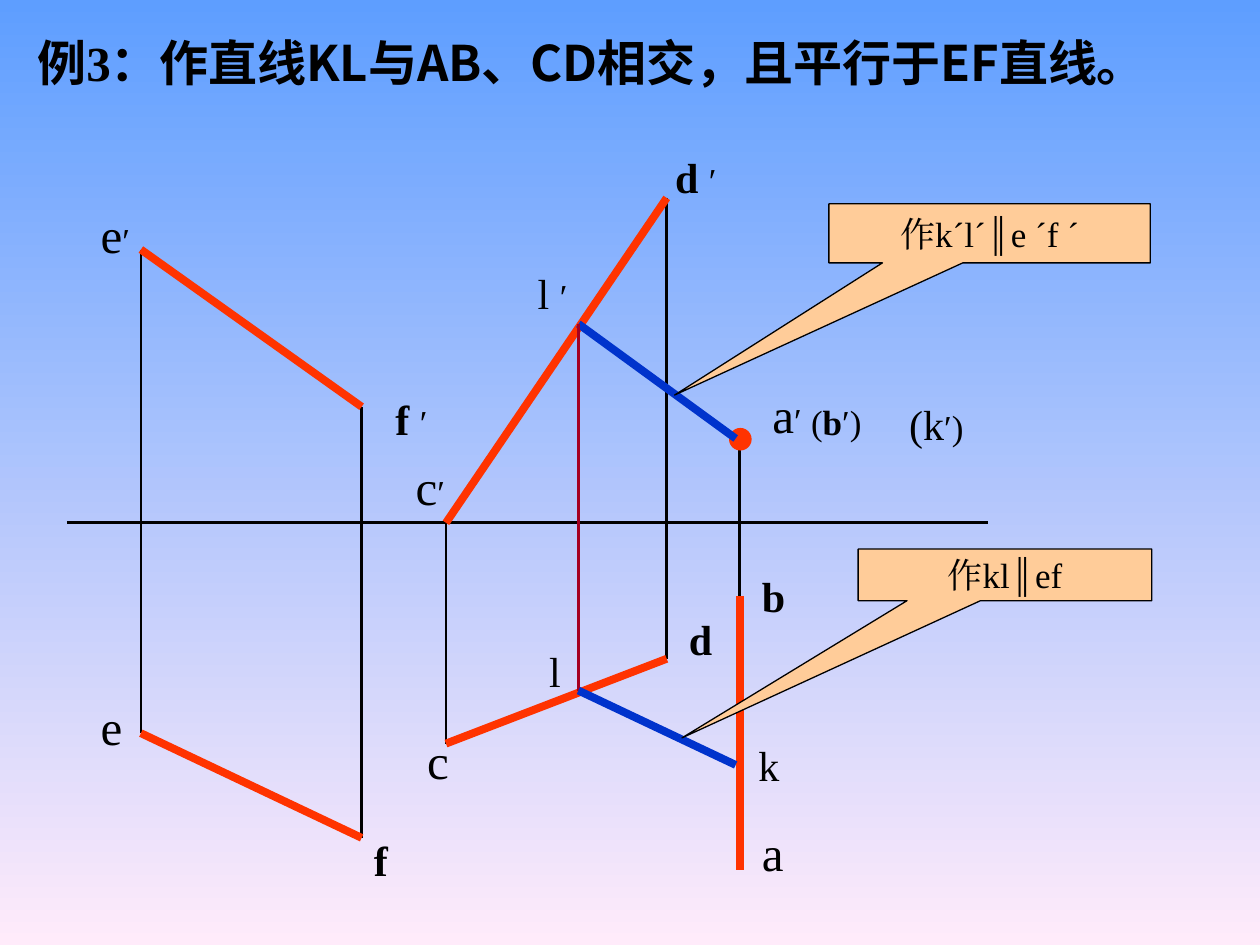
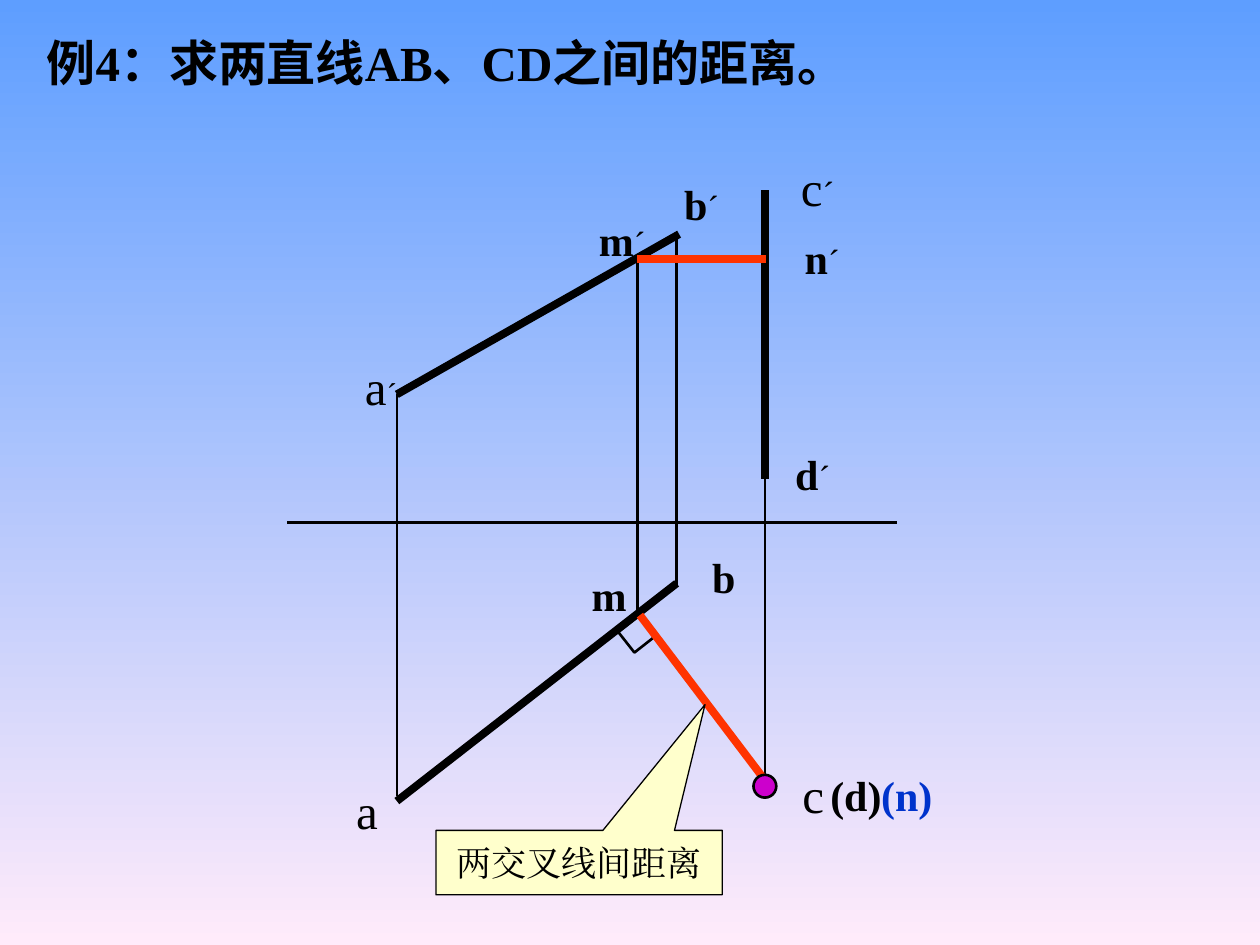
from pptx import Presentation
from pptx.dml.color import RGBColor
from pptx.enum.shapes import MSO_CONNECTOR, MSO_SHAPE
from pptx.enum.text import MSO_ANCHOR, MSO_AUTO_SIZE, PP_ALIGN
from pptx.util import Cm, Pt
from lxml import etree
from pptx.oxml.ns import qn

rgb = RGBColor.from_string
BLACK, RED, BLUE, MAROON = "000000", "FF3300", "0033CC", "A50021"
SERIF, SANS = "Times New Roman", "Noto Sans CJK SC"
THIN, THICK = 1.5, 4.5
LABEL_HEIGHT = {28: 1.45, 24: 1.27, 20: 1.12}


def add_run(p, text, size, bold=False, color=BLACK, font=SERIF):
    r = p.add_run()
    r.text = text
    r.font.size = Pt(size)
    r.font.bold = bold
    r.font.color.rgb = rgb(color)
    r.font.name = font
    ea = etree.SubElement(r.font._element, qn("a:ea"))
    ea.set("typeface", font)


def add_line(s, start, end, color, width):
    ln = s.shapes.add_connector(MSO_CONNECTOR.STRAIGHT, *map(Cm, start + end))
    ln.line.color.rgb = rgb(color)
    ln.line.width = Pt(width)
    etree.SubElement(ln._element.spPr, qn("a:effectLst"))


prime, prime_mark = ("′", 20), ("ˊ", 20)

e1, f1, e, f = (2.84, 5.03), (7.29, 8.2), (2.84, 14.78), (7.29, 16.89)
c1, d1, c, d = (8.99, 10.54), (13.44, 3.99), (8.99, 14.99), (13.44, 13.28)
a1, b, a = (14.91, 8.84), (14.91, 12.01), (14.91, 17.53)
l1, l, k1, k = (11.66, 6.53), (11.66, 13.92), (14.83, 8.84), (14.83, 15.42)

parallel = {
    "title": [("例", SANS), ("3", SERIF),
              ("：作直线KL与AB、CD相交，且平行于EF直线。", SANS)],
    "title_left": 0.5,
    "hanging": 4.52,
    "align": PP_ALIGN.LEFT,
    "lines": [
        ((1.35, 10.54), (19.91, 10.54), BLACK, THIN),
        (e1, e, BLACK, THIN),
        (f1, f, BLACK, THIN),
        (e1, f1, RED, THICK),
        (e, f, RED, THICK),
        (c1, c, BLACK, THIN),
        (d1, d, BLACK, THIN),
        (c, d, RED, THICK),
        (c1, d1, RED, THICK),
        (a1, b, BLACK, THIN),
        (b, a, RED, THICK),
    ],
    "dot": (14.71, 8.64, 0.43, RED, RED, 0.75),
    "solution": [
        (k1, l1, BLUE, THICK),
        (l1, l, MAROON, THIN),
        (l, k, BLUE, THICK),
    ],
    "labels": [
        (13.36, 2.92, 1.91, [("d ", 24, True), prime]),
        (1.78, 3.99, 2.11, [("e", 28), prime]),
        (7.72, 7.8, 2.11, [("f ", 24, True), prime]),
        (7.29, 16.69, 1.47, [("f", 24, True)]),
        (1.78, 13.92, 1.47, [("e", 28)]),
        (8.13, 9.07, 2.11, [("c", 28), prime]),
        (15.32, 7.62, 1.83, [("a", 28), prime]),
        (15.11, 16.46, 1.7, [("a", 28)]),
        (15.11, 11.38, 1.7, [("b", 24, True)]),
        (8.36, 14.61, 2.11, [("c", 28)]),
        (13.64, 12.24, 1.27, [("d", 24, True)]),
        (16.1, 7.95, 2.11, [("(", 20), ("b", 20, True), ("′)", 20)]),
        (18.08, 7.9, 1.75, [("(k", 24), ("′)", 20)]),
        (10.59, 5.26, 1.7, [("l ", 24), prime]),
        (10.82, 12.88, 1.47, [("l", 24)]),
        (15.04, 14.78, 1.7, [("k", 24)]),
    ],
    "callouts": [
        (16.71, 4.11, 6.48, 1.19, -0.98, 2.74, "FFCC99", "作kˊlˊ∥e ˊf ˊ"),
        (17.3, 11.07, 5.92, 1.04, -1.1, 3.16, "FFCC99", "作kl∥ef"),
    ],
}

distance = {
    "title": [("例", SANS), ("4", SERIF), ("：求两直线", SANS), ("AB", SERIF),
              ("、", SANS), ("CD", SERIF), ("之间的距离。", SANS)],
    "title_left": 0.69,
    "hanging": 0,
    "align": PP_ALIGN.CENTER,
    "right_angle": (12.57, 12.52, 0.53, 51.8),
    "lines": [
        ((5.79, 10.54), (18.08, 10.54), BLACK, THIN),
        ((8, 7.95), (13.69, 4.72), BLACK, THICK),
        ((8, 7.95), (8, 16.05), BLACK, THIN),
        ((13.64, 4.72), (13.64, 11.79), BLACK, THIN),
        ((15.42, 3.84), (15.42, 9.65), BLACK, THICK),
        ((15.42, 9.65), (15.42, 15.82), BLACK, THIN),
        ((8, 16.15), (13.64, 11.76), BLACK, THICK),
        ((15.49, 15.82), (12.9, 12.4), RED, THICK),
        ((12.85, 12.34), (12.85, 5.18), BLACK, THIN),
        ((12.85, 5.23), (15.44, 5.23), RED, THICK),
    ],
    "dot": (15.19, 15.62, 0.46, "CC00CC", BLACK, 1.5),
    "solution": [],
    "labels": [
        (6.78, 15.6, 1.24, [("a", 28)]),
        (5.79, 7.06, 3.78, [("a", 28), ("ˊ", 18)]),
        (13.89, 11, 1.4, [("b", 24, True)]),
        (12.95, 3.48, 2.39, [("b", 24, True), prime_mark]),
        (15.39, 3.05, 2.18, [("c", 28), prime_mark]),
        (15.19, 8.92, 2.39, [("d", 24, True), prime_mark]),
        (15.85, 15.29, 1.09, [("c", 28)]),
        (16.43, 15.39, 1.65, [("(d)", 24, True)]),
        (15.65, 4.57, 1.85, [("n", 24, True), prime_mark]),
        (11.4, 4.19, 2.29, [("m", 24, True), prime_mark]),
        (11.66, 11.35, 1.24, [("m", 24, True)]),
        (17.48, 15.39, 1.6, [("(n)", 24, True, BLUE)]),
    ],
    "callouts": [
        (8.79, 16.74, 5.77, 1.3, 0.44, -2.45, "FFFFCC", "两交叉线间距离"),
    ],
}

prs = Presentation()
prs.slide_width, prs.slide_height = Cm(25.4), Cm(19.05)

fill = prs.slide_master.background.fill
fill.gradient()
fill.gradient_angle = 270
for stop, position, color in zip(fill.gradient_stops, (0, 1), ("5E9EFF", "FFEBFA")):
    stop.position = position
    stop.color.rgb = rgb(color)

for page in (parallel, distance):
    s = prs.slides.add_slide(prs.slide_layouts[5])

    title = s.shapes.title
    left = page["title_left"]
    title.left, title.top = Cm(left), Cm(0)
    title.width, title.height = Cm(25.4 - left), Cm(2.49)
    tf = title.text_frame
    tf.word_wrap = True
    tf.auto_size = MSO_AUTO_SIZE.NONE
    tf.vertical_anchor = MSO_ANCHOR.MIDDLE
    p = tf.paragraphs[0]
    p.alignment = PP_ALIGN.LEFT
    pPr = p._p.get_or_add_pPr()
    pPr.set("marL", str(Cm(page["hanging"])))
    pPr.set("indent", str(-Cm(page["hanging"])))
    for text, font in page["title"]:
        add_run(p, text, 28, True, font=font)

    if "right_angle" in page:
        x, y, side, angle = page["right_angle"]
        sp = s.shapes.add_shape(MSO_SHAPE.RECTANGLE, Cm(x), Cm(y), Cm(side), Cm(side))
        sp.rotation = angle
        sp.shadow.inherit = False
        sp.fill.background()
        sp.line.color.rgb = rgb(BLACK)
        sp.line.width = Pt(THIN)

    for line in page["lines"]:
        add_line(s, *line)

    x, y, size, color, outline, width = page["dot"]
    sp = s.shapes.add_shape(MSO_SHAPE.OVAL, Cm(x), Cm(y), Cm(size), Cm(size))
    sp.shadow.inherit = False
    sp.fill.solid()
    sp.fill.fore_color.rgb = rgb(color)
    sp.line.color.rgb = rgb(outline)
    sp.line.width = Pt(width)

    for line in page["solution"]:
        add_line(s, *line)

    for x, y, w, runs in page["labels"]:
        h = LABEL_HEIGHT[runs[0][1]]
        tf = s.shapes.add_textbox(Cm(x), Cm(y), Cm(w), Cm(h)).text_frame
        tf.word_wrap = True
        tf.auto_size = MSO_AUTO_SIZE.SHAPE_TO_FIT_TEXT
        p = tf.paragraphs[0]
        p.alignment = page["align"]
        for run in runs:
            add_run(p, *run)

    for x, y, w, h, tip_x, tip_y, color, text in page["callouts"]:
        sp = s.shapes.add_shape(MSO_SHAPE.RECTANGULAR_CALLOUT, Cm(x), Cm(y), Cm(w), Cm(h))
        sp.adjustments[0], sp.adjustments[1] = tip_x, tip_y
        sp.shadow.inherit = False
        sp.fill.solid()
        sp.fill.fore_color.rgb = rgb(color)
        sp.line.color.rgb = rgb(BLACK)
        sp.line.width = Pt(0.75)
        tf = sp.text_frame
        tf.word_wrap = True
        tf.vertical_anchor = MSO_ANCHOR.MIDDLE
        p = tf.paragraphs[0]
        p.alignment = PP_ALIGN.CENTER
        add_run(p, text, 20)

prs.save("out.pptx")
